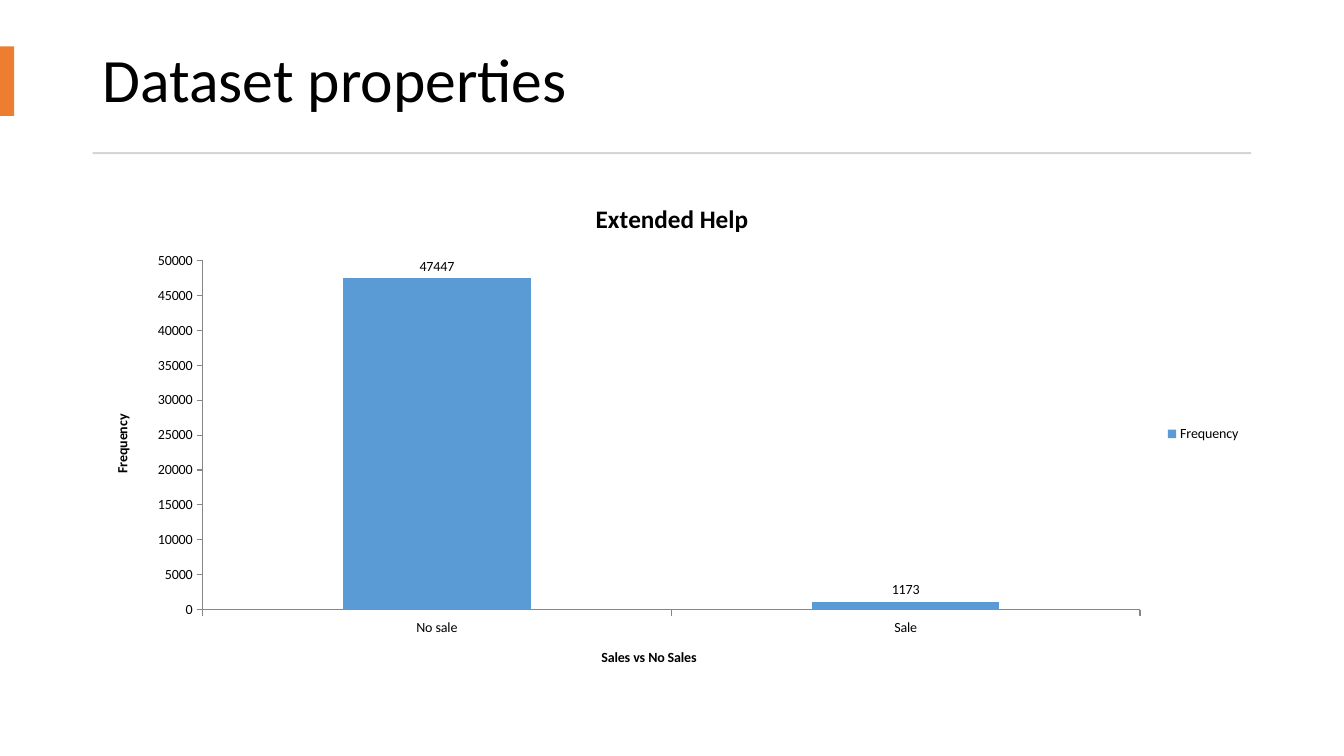
"""Build the Dataset properties slide with its sales frequency chart."""
from dataclasses import dataclass
from typing import Any

from pptx import Presentation
from pptx.chart.data import CategoryChartData
from pptx.dml.color import RGBColor
from pptx.enum.chart import XL_CHART_TYPE, XL_LABEL_POSITION, XL_LEGEND_POSITION, XL_TICK_MARK
from pptx.enum.shapes import MSO_SHAPE
from pptx.enum.text import MSO_ANCHOR
from pptx.util import Inches, Pt

SLIDE_W, SLIDE_H = Inches(13.33), Inches(7.5)
COLORS = {"text": "000000", "accent": "ED7D31", "rule": "D5D5D5",
          "bar": "5B9BD5", "axis": "868686"}
MARGIN, CONTENT_W = 6.9, 86.2


@dataclass(frozen=True)
class Box:
    """Place on the slide, in percent of its width and height."""
    x: float
    y: float
    w: float
    h: float

    def emu(self) -> tuple[int, int, int, int]:
        return (int(SLIDE_W * self.x / 100), int(SLIDE_H * self.y / 100),
                int(SLIDE_W * self.w / 100), int(SLIDE_H * self.h / 100))


@dataclass(frozen=True)
class Bar:
    """Plain filled rectangle."""
    box: Box
    color: str


TITLE_BOX = Box(MARGIN, 3.6, CONTENT_W, 14.67)
CHART_BOX = Box(MARGIN, 24, CONTENT_W, 66.8)
BARS = [
    Bar(Box(0, 6.13, 1.05, 9.2), "accent"),
    Bar(Box(MARGIN, 20.13, CONTENT_W, 0.27), "rule"),
]


def rgb(name: str) -> RGBColor:
    return RGBColor.from_string(COLORS[name])


def apply(target: Any, values: dict[str, Any]) -> None:
    for name, value in values.items():
        setattr(target, name, value)


def style_font(font: Any, size: float, bold: bool = False) -> None:
    apply(font, {"name": "Calibri", "size": Pt(size), "bold": bold})
    font.color.rgb = rgb("text")


def write(tf: Any, text: str, size: float, bold: bool = False) -> Any:
    p = tf.paragraphs[0]
    r = p.add_run()
    r.text = text
    style_font(r.font, size, bold)
    return p


def add_title(s: Any, text: str) -> None:
    tf = s.shapes.add_textbox(*TITLE_BOX.emu()).text_frame
    apply(tf, {"word_wrap": True, "vertical_anchor": MSO_ANCHOR.MIDDLE})
    write(tf, text, 44).line_spacing = 0.9


def add_bar(s: Any, bar: Bar) -> None:
    sp = s.shapes.add_shape(MSO_SHAPE.RECTANGLE, *bar.box.emu())
    sp.shadow.inherit = False
    sp.fill.solid()
    sp.fill.fore_color.rgb = rgb(bar.color)
    sp.line.fill.background()


def style_axis(axis: Any, title: str) -> None:
    apply(axis, {"has_major_gridlines": False, "major_tick_mark": XL_TICK_MARK.OUTSIDE,
                 "minor_tick_mark": XL_TICK_MARK.NONE})
    axis.format.line.color.rgb = rgb("axis")
    axis.format.line.width = Pt(0.75)
    style_font(axis.tick_labels.font, 10)
    write(axis.axis_title.text_frame, title, 10, bold=True)


def add_frequency_chart(s: Any) -> None:
    data = CategoryChartData()
    data.categories = ["No sale", "Sale"]
    data.add_series("Frequency", [47447, 1173])
    chart = s.shapes.add_chart(XL_CHART_TYPE.COLUMN_CLUSTERED, *CHART_BOX.emu(), data).chart
    style_font(chart.font, 10)
    write(chart.chart_title.text_frame, "Extended Help", 18, bold=True)
    style_axis(chart.category_axis, "Sales vs No Sales")
    style_axis(chart.value_axis, "Frequency")
    apply(chart.value_axis, {"minimum_scale": 0, "maximum_scale": 50000, "major_unit": 5000})

    chart.has_legend = True
    apply(chart.legend, {"position": XL_LEGEND_POSITION.RIGHT, "include_in_layout": False})
    style_font(chart.legend.font, 10)

    plot = chart.plots[0]
    apply(plot, {"gap_width": 150, "vary_by_categories": False})
    fill = plot.series[0].format.fill
    fill.solid()
    fill.fore_color.rgb = rgb("bar")
    labels = plot.series[0].data_labels
    apply(labels, {"show_value": True, "position": XL_LABEL_POSITION.OUTSIDE_END})
    style_font(labels.font, 10)


def main() -> None:
    prs = Presentation()
    apply(prs, {"slide_width": SLIDE_W, "slide_height": SLIDE_H})
    s = prs.slides.add_slide(prs.slide_layouts[6])
    add_title(s, "Dataset properties")
    for bar in BARS:
        add_bar(s, bar)
    add_frequency_chart(s)
    prs.save("out.pptx")


if __name__ == "__main__":
    main()
